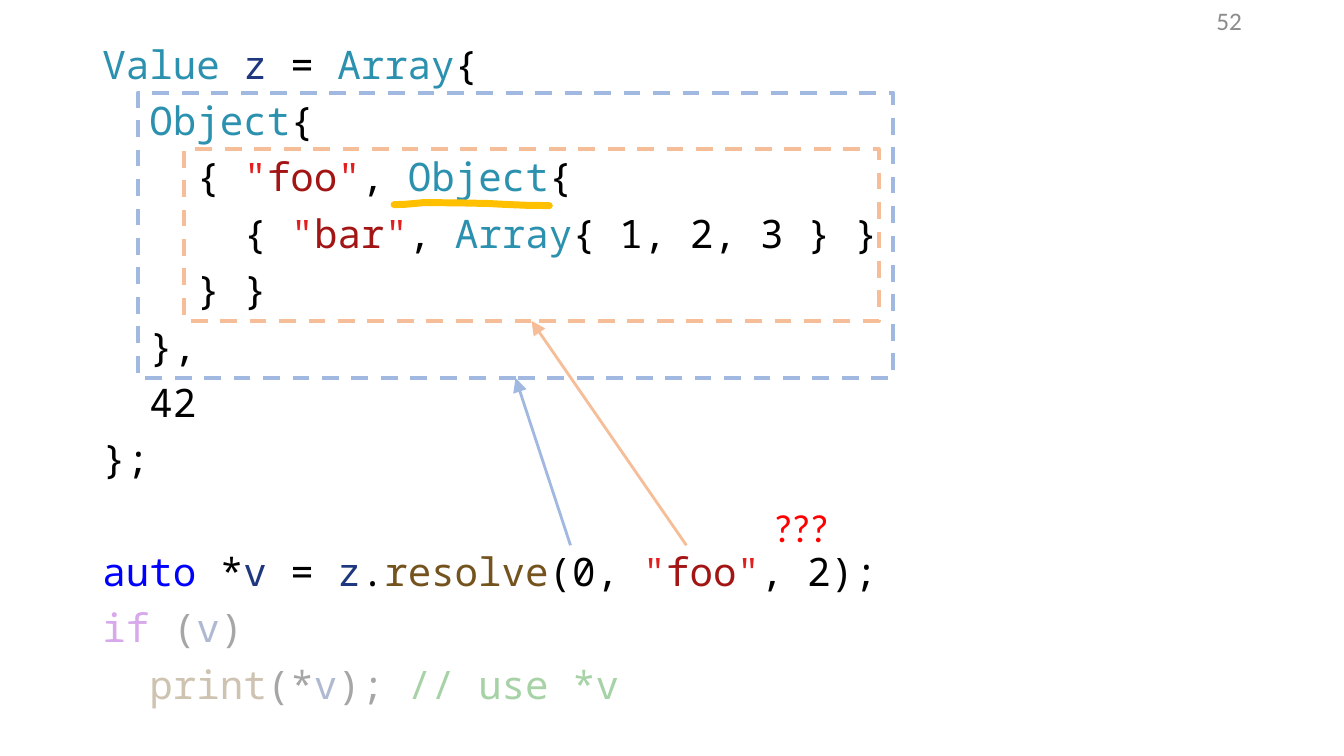
from lxml import etree
from pptx import Presentation
from pptx.dml.color import RGBColor
from pptx.enum import dml, shapes, text
from pptx.oxml.ns import qn
from pptx.util import Pt

COLORS = {
    "plain": "000000", "type": "2B91AF", "variable": "1F377F",
    "quote": "E21F1F", "string": "A31515", "keyword": "0000FF",
    "function": "74531F", "control": "8F08C4", "comment": "008000",
}
CODE_FONT, LABEL_FONT = "Noto Sans Mono", "Calibri"
CODE_SIZE = 28
INDENT = 2 * 0.6 * CODE_SIZE  # two monospaced characters
LINE_SPACING, SPACE_BEFORE = 0.9, 10
LINE_PITCH = 40.3
FADED_ALPHA = 34


def quoted(word):
    return [("quote", '"'), ("string", word), ("quote", '"')]


# indent level, runs
DECLARATION = [
    (0, [("type", "Value"), ("plain", " "), ("variable", "z"), ("plain", " = "),
         ("type", "Array"), ("plain", "{")]),
    (1, [("type", "Object"), ("plain", "{")]),
    (2, [("plain", "{ "), *quoted("foo"), ("plain", ", "), ("type", "Object"), ("plain", "{")]),
    (3, [("plain", "{ "), *quoted("bar"), ("plain", ", "), ("type", "Array"),
         ("plain", "{ 1, 2, 3 } }")]),
    (2, [("plain", "} }")]),
    (1, [("plain", "},")]),
    (1, [("plain", "42")]),
    (0, [("plain", "};")]),
]
LOOKUP = [
    (0, [("keyword", "auto"), ("plain", " *"), ("variable", "v"), ("plain", " = "),
         ("variable", "z"), ("plain", "."), ("function", "resolve"), ("plain", "(0, "),
         *quoted("foo"), ("plain", ", 2);")]),
]
FADED_USE = [
    (0, [("control", "if"), ("plain", " ("), ("variable", "v"), ("plain", ")")]),
    (1, [("function", "print"), ("plain", "(*"), ("variable", "v"), ("plain", "); "),
         ("comment", "// use *v")]),
]
# frame (left, top, width, height), colour, start of the arrow to its bottom centre
SCOPES = [
    ((98.6, 66.2, 539.3, 203.8), "A1B8E1", (407.5, 389.5)),
    ((131.6, 106.6, 496.1, 122.6), "F6BE98", (490.3, 389.5)),
]
# text, frame, size, colour, alignment, anchor, wrap
LABELS = [
    ("52", (678.2, 0, 216, 28.8), 18, "8C8C8C", text.PP_ALIGN.RIGHT, text.MSO_ANCHOR.MIDDLE, True),
    ("???", (545.8, 355.7, 54.7, 41), 28, "FF0000", text.PP_ALIGN.LEFT, text.MSO_ANCHOR.TOP, False),
]
UNDERLINE = [(281.5, 146.2), (289, 146), (296, 145.4), (302, 144.8), (325, 144.9),
             (349, 145.4), (360, 146), (376, 146.7), (392.4, 146.9)]


def paint(color_format, hex_color):
    color_format.rgb = RGBColor.from_string(hex_color)


def points(values):
    return [Pt(value) for value in values]


def style_line(shape, color, width):
    paint(shape.line.color, color)
    shape.line.width = Pt(width)
    return shape.line._get_or_add_ln()


def add_run(paragraph, content, font, size, color):
    run = paragraph.add_run()
    run.text = content
    run.font.name, run.font.size = font, Pt(size)
    paint(run.font.color, color)
    return run


def add_code(frame, lines, gap=0, faded=False):
    """Append code lines, with an extra gap above the first."""
    for index, (level, runs) in enumerate(lines):
        first = frame.paragraphs[0]
        paragraph = frame.add_paragraph() if first.runs else first
        paragraph.line_spacing = LINE_SPACING
        paragraph.space_before = Pt(SPACE_BEFORE + (gap if index == 0 else 0))
        properties = paragraph._p.get_or_add_pPr()
        properties.set("marL", str(Pt(level * INDENT)))
        properties.set("indent", "0")
        etree.SubElement(properties, qn("a:buNone"))
        for kind, content in runs:
            run = add_run(paragraph, content, CODE_FONT, CODE_SIZE, COLORS[kind])
            if faded:
                color = run._r.find(".//" + qn("a:srgbClr"))
                etree.SubElement(color, qn("a:alpha"), val=str(FADED_ALPHA * 1000))


def add_scope(slide, frame, color, start):
    """Draw a dashed frame and the arrow that points to it."""
    box = slide.shapes.add_shape(shapes.MSO_SHAPE.RECTANGLE, *points(frame))
    box.shadow.inherit = False
    box.fill.background()
    style_line(box, color, 3)
    box.line.dash_style = dml.MSO_LINE.DASH
    arrow = slide.shapes.add_connector(shapes.MSO_CONNECTOR.STRAIGHT, *points(start + start))
    arrow.end_connect(box, 2)
    line = style_line(arrow, color, 2)
    etree.SubElement(line, qn("a:tailEnd"), type="triangle", w="lg", len="lg")
    etree.SubElement(arrow._element.spPr, qn("a:effectLst"))


def add_label(slide, content, frame, size, color, alignment, anchor, wrap):
    label = slide.shapes.add_textbox(*points(frame)).text_frame
    label.word_wrap = wrap
    label.vertical_anchor = anchor
    label.paragraphs[0].alignment = alignment
    add_run(label.paragraphs[0], content, LABEL_FONT, size, color)


def add_underline(slide):
    builder = slide.shapes.build_freeform(*points(UNDERLINE[0]))
    builder.add_line_segments([points(point) for point in UNDERLINE[1:]], close=False)
    stroke = builder.convert_to_shape()
    stroke.shadow.inherit = False
    stroke.fill.background()
    line = style_line(stroke, "FFC000", 5)
    line.set("cap", "rnd")
    etree.SubElement(line, qn("a:round"))


def main():
    presentation = Presentation()
    presentation.slide_width, presentation.slide_height = Pt(960), Pt(540)
    slide = presentation.slides.add_slide(presentation.slide_layouts[1])
    title = slide.shapes.title._element
    title.getparent().remove(title)

    body = slide.placeholders[1]
    body.left, body.top, body.width, body.height = points((66, 28.8, 828, 511.2))
    code = body.text_frame
    code.word_wrap = True
    code.auto_size = text.MSO_AUTO_SIZE.NONE
    code.vertical_anchor = text.MSO_ANCHOR.TOP
    add_code(code, DECLARATION)
    add_code(code, LOOKUP, gap=LINE_PITCH)
    add_code(code, FADED_USE, faded=True)

    for scope in SCOPES:
        add_scope(slide, *scope)
    for label in LABELS:
        add_label(slide, *label)
    add_underline(slide)
    presentation.save("out.pptx")


if __name__ == "__main__":
    main()
